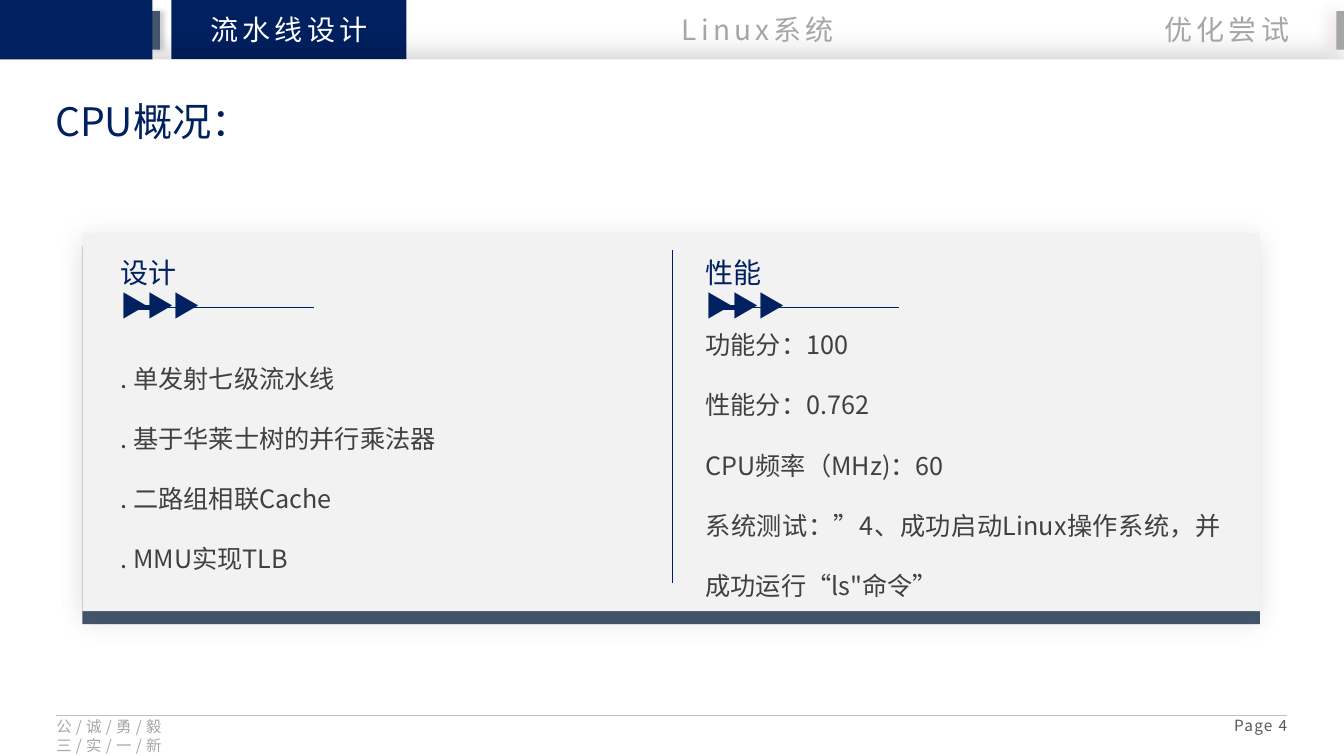
"""Build the CPU overview slide with its tab bar, two-column card and footer."""
from dataclasses import dataclass

from lxml.etree import SubElement as Sub
from pptx import Presentation
from pptx.dml.color import RGBColor as Rgb
from pptx.enum.shapes import MSO_CONNECTOR as Link, MSO_SHAPE as Kind
from pptx.enum.text import MSO_ANCHOR as Anchor, MSO_AUTO_SIZE as Auto, PP_ALIGN as Align
from pptx.oxml.ns import qn
from pptx.util import Cm, Pt


@dataclass(frozen=True)
class Theme:
    font: str = "Noto Sans CJK SC"
    navy: str = "002060"
    slate: str = "44546A"
    white: str = "FFFFFF"
    panel: str = "F2F2F2"
    rule: str = "BFBFBF"
    edge: str = "A5A5A5"
    faint: str = "A6A6A6"
    ink: str = "404040"
    note: str = "595959"
    black: str = "000000"
    title: int = 28
    head: int = 20
    body: int = 18
    small: int = 11


def write(para, text, font, size, color, lead=None, gap=0, align=Align.LEFT):
    prop = para._p.get_or_add_pPr()
    prop.set("marL", "0")
    prop.set("indent", "0")
    Sub(prop, qn("a:buNone"))
    para.alignment = align
    para.space_before = Pt(0)
    if lead:
        para.line_spacing = Pt(lead)
    run = para.add_run()
    run.text = text
    run.font.size = Pt(size)
    run.font.color.rgb = Rgb.from_string(color)
    run.font.name = font
    mark = run._r.get_or_add_rPr()
    Sub(mark, qn("a:ea")).set("typeface", font)
    if gap:
        mark.set("spc", str(int(gap * 100)))


class Page:
    def __init__(self, deck, theme):
        self.theme = theme
        self.slide = deck.slides.add_slide(deck.slide_layouts[3])
        self.shapes = self.slide.shapes

    def block(self, x, y, w, h, color, shade=None):
        box = self.shapes.add_shape(Kind.RECTANGLE, Cm(x), Cm(y), Cm(w), Cm(h))
        box.fill.solid()
        box.fill.fore_color.rgb = Rgb.from_string(color)
        box.line.fill.background()
        box.shadow.inherit = False
        if shade:
            tint, alpha, blur, dist, angle = shade
            glow = Sub(box._element.spPr.find(qn("a:effectLst")), qn("a:outerShdw"),
                       blurRad=str(Pt(blur)), dist=str(Pt(dist)),
                       dir=str(angle * 60000), algn="ctr", rotWithShape="0")
            hue = Sub(glow, qn("a:srgbClr"), val=tint)
            Sub(hue, qn("a:alpha"), val=str(alpha * 1000))

    def line(self, x, y, w, h, color, width=0.5):
        rule = self.shapes.add_connector(Link.STRAIGHT, Cm(x), Cm(y), Cm(x + w), Cm(y + h))
        rule.line.color.rgb = Rgb.from_string(color)
        rule.line.width = Pt(width)
        Sub(rule._element.spPr, qn("a:effectLst"))

    def text(self, x, y, w, h, lines, hold=None, wrap=True, anchor=Anchor.TOP, right=0.25, **form):
        if hold is None:
            box = self.shapes.add_textbox(Cm(x), Cm(y), Cm(w), Cm(h))
        else:
            box = hold
            box.left, box.top, box.width, box.height = Cm(x), Cm(y), Cm(w), Cm(h)
            self.shapes._spTree.append(box._element)
        frame = box.text_frame
        frame.word_wrap = wrap
        frame.auto_size = Auto.NONE
        frame.vertical_anchor = anchor
        frame.margin_left, frame.margin_right = Cm(0.25), Cm(right)
        frame.margin_top = frame.margin_bottom = Cm(0.13)
        for num, line in enumerate(lines):
            para = frame.add_paragraph() if num else frame.paragraphs[0]
            write(para, line, self.theme.font, **form)
        return frame

    def head(self, x, y, text):
        look = self.theme
        form = {"size": look.head, "color": look.navy, "lead": 24}
        frame = self.text(x, y, 3.89, 1.12, [text], wrap=False, **form)
        write(frame.add_paragraph(), "▶▶▶", look.font, gap=-1.5, **form)
        for span, width in ((4.8, 0.5), (0.94, 4)):
            self.line(x + 0.33, y + 1.45, span, 0, look.navy, width)


def main():
    deck = Presentation()
    wide, high, bar = 33.87, 19.05, 1.5
    deck.slide_width, deck.slide_height = Cm(wide), Cm(high)
    look = Theme()
    page = Page(deck, look)
    title, *holds = page.slide.placeholders

    page.block(4.32, 0, 5.92, bar, look.navy)
    page.block(0, bar, wide, high - bar, look.white, (look.black, 20, 20, 3, 270))
    page.block(3.73, 0.28, 0.3, 0.97, look.slate, (look.black, 20, 4, 3, 0))
    page.block(0, 0, 3.84, bar, look.navy)
    page.block(33.68, 0.28, 0.19, 0.97, look.edge, ("60080C", 20, 12, 3, 180))
    for num, name in enumerate(("流水线设计", "Linux系统", "优化尝试")):
        page.text(4.32 + num * 11.82, 0.25, 5.92, 1, [name], size=look.head, lead=22, gap=3,
                  color=look.faint if num else look.white, align=Align.CENTER)

    page.text(1.14, 2.24, 5.54, 1.45, ["CPU概况："], hold=title, wrap=False,
              size=look.title, color=look.navy, lead=36)

    page.block(2.08, 6.2, 29.67, 9.53, look.slate, (look.black, 8, 18, 0, 0))
    page.block(2.08, 5.87, 29.67, 9.53, look.panel, (look.black, 6, 20, 0, 0))
    page.line(16.94, 6.3, 0, 8.38, look.navy)
    parts = (
        (2.79, 8.26, 6.2, "设计",
         [". 单发射七级流水线", ". 基于华莱士树的并行乘法器", ". 二路组相联Cache", ". MMU实现TLB"]),
        (17.53, 7.42, 7.72, "性能",
         ["功能分：100", "性能分：0.762", "CPU频率（MHz)：60",
          "系统测试：”4、成功启动Linux操作系统，并成功运行“ls\"命令”"]),
    )
    for hold, (x, y, tall, name, items) in zip(holds, parts):
        page.head(x, 6.3, name)
        page.text(x, y, 13.49, tall, items, hold=hold, size=look.body, color=look.ink,
                  lead=43, align=Align.JUSTIFY)

    page.line(1.42, 18.03, 31.02, 0, look.rule)
    page.text(1.17, 17.96, 6.3, 0.74, ["公/诚/勇/毅", "三/实/一/新"], wrap=False,
              size=look.small, color=look.faint, lead=13, gap=3)
    page.text(29.9, 17.88, 2.54, 0.81, ["Page 4"], anchor=Anchor.MIDDLE, right=0,
              size=look.small, color=look.note, gap=0.9, align=Align.RIGHT)
    deck.save("out.pptx")


if __name__ == "__main__":
    main()
